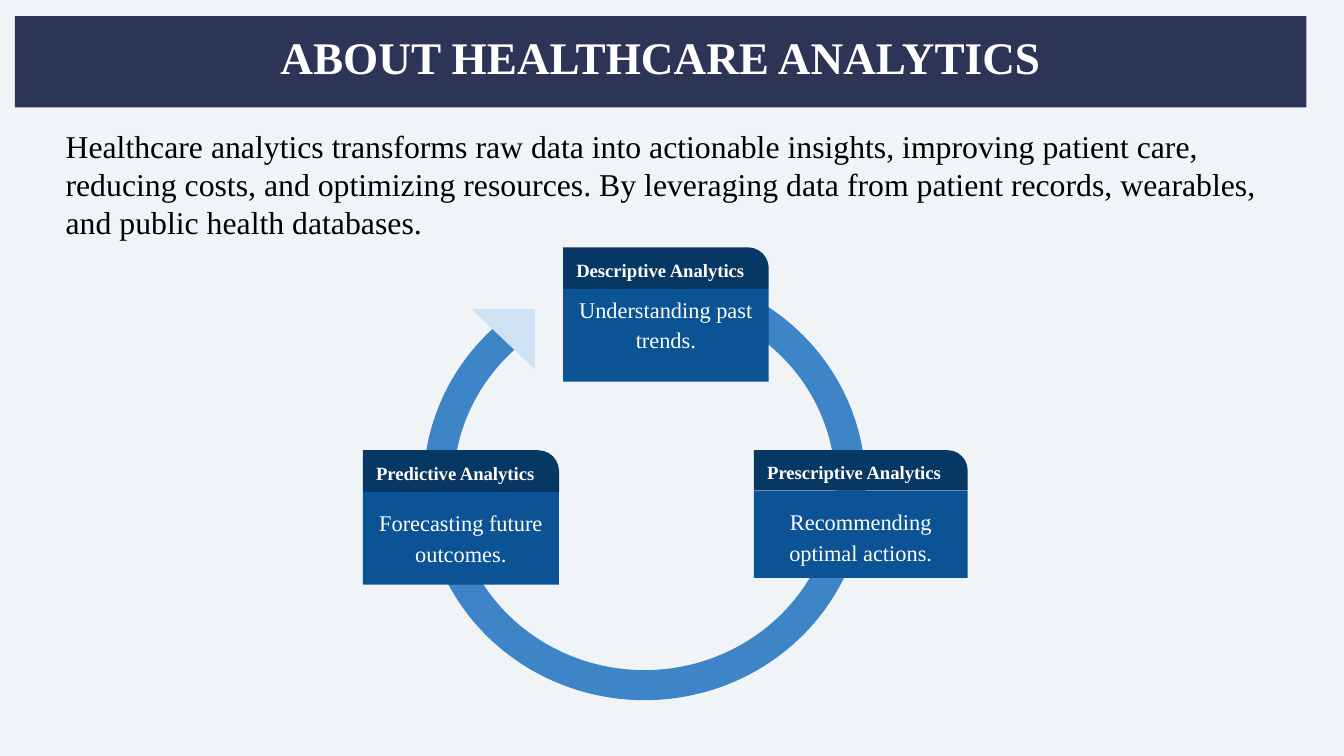
from dataclasses import dataclass

import pptx
import pptx.dml.color
import pptx.enum.shapes
import pptx.enum.text
import pptx.util

Inches = pptx.util.Inches
Shape = pptx.enum.shapes.MSO_SHAPE
Align = pptx.enum.text.PP_ALIGN
Anchor = pptx.enum.text.MSO_ANCHOR

COLORS = {
    "background": "F0F4F7",
    "banner": "2D3556",
    "ring": "3D85C6",
    "arrow": "CFE2F3",
    "card": "0B5394",
    "card_header": "073763",
    "light": "FFFFFF",
    "dark": "000000",
}
FONT = "Times New Roman"


@dataclass
class Box:
    left: float
    top: float
    width: float
    height: float


@dataclass
class Card:
    title: str
    body: str
    left: float
    top: float
    width: float
    header_height: float
    body_height: float
    body_inset: float = 0.1


CARDS = [
    Card("Prescriptive Analytics", "Recommending optimal actions.", 5.61, 3.35, 1.59, 0.3, 0.65),
    Card("Descriptive Analytics", "Understanding past trends.", 4.19, 1.84, 1.53, 0.31, 0.69, 0.02),
    Card("Predictive Analytics", "Forecasting future outcomes.", 2.7, 3.35, 1.46, 0.31, 0.69),
]


def rgb(name: str) -> pptx.dml.color.RGBColor:
    return pptx.dml.color.RGBColor.from_string(COLORS[name])


def add_filled(s, kind: Shape, box: Box, color: str, rotation: float = 0, adjustments: tuple = ()):
    sp = s.shapes.add_shape(
        kind, Inches(box.left), Inches(box.top), Inches(box.width), Inches(box.height)
    )
    sp.shadow.inherit = False
    sp.fill.solid()
    sp.fill.fore_color.rgb = rgb(color)
    sp.line.fill.background()
    sp.rotation = rotation
    for i, value in enumerate(adjustments):
        sp.adjustments[i] = value
    return sp


def write(sp, text: str, size: float, color: str = "light", bold: bool = False,
          align: Align = Align.LEFT, anchor: Anchor = Anchor.TOP,
          spacing: float = 1.0, top_inset: float = 0.1) -> None:
    tf = sp.text_frame
    tf.word_wrap = True
    tf.margin_left = tf.margin_right = tf.margin_bottom = Inches(0.1)
    tf.margin_top = Inches(top_inset)
    tf.vertical_anchor = anchor
    p = tf.paragraphs[0]
    p.text = text
    p.alignment = align
    p.line_spacing = spacing
    p.font.name = FONT
    p.font.size = pptx.util.Pt(size)
    p.font.bold = bold
    p.font.color.rgb = rgb(color)


def add_card(s, card: Card) -> None:
    body_box = Box(card.left, card.top + card.header_height, card.width, card.body_height)
    body = add_filled(s, Shape.RECTANGLE, body_box, "card")
    write(body, card.body, 12, align=Align.CENTER, spacing=1.15, top_inset=card.body_inset)
    header_box = Box(card.left, card.top, card.width, card.header_height)
    header = add_filled(s, Shape.ROUND_1_RECTANGLE, header_box, "card_header", adjustments=(0.5,))
    write(header, card.title, 10, bold=True, anchor=Anchor.MIDDLE, spacing=1.15)


def main() -> None:
    prs = pptx.Presentation()
    prs.slide_width = Inches(10)
    prs.slide_height = prs.slide_width * 9 // 16
    s = prs.slides.add_slide(prs.slide_layouts[6])
    s.background.fill.solid()
    s.background.fill.fore_color.rgb = rgb("background")

    intro = add_filled(s, Shape.RECTANGLE, Box(0.39, 0.84, 9.16, 4.64), "background")
    write(
        intro,
        "Healthcare analytics transforms raw data into actionable insights, improving patient care, "
        "reducing costs, and optimizing resources. By leveraging data from patient records, wearables, "
        "and public health databases.",
        17,
        "dark",
    )

    add_filled(s, Shape.BLOCK_ARC, Box(3.15, 2.01, 3.29, 3.2), "ring", 180, (54, 30.13, 0.07))
    add_filled(s, Shape.RIGHT_TRIANGLE, Box(3.51, 2.3, 0.47, 0.45), "arrow", 180)
    for card in CARDS:
        add_card(s, card)

    banner = add_filled(s, Shape.RECTANGLE, Box(0.11, 0.12, 9.61, 0.68), "banner")
    write(banner, "ABOUT HEALTHCARE ANALYTICS", 24.2, bold=True, align=Align.CENTER)

    prs.save("out.pptx")


if __name__ == "__main__":
    main()
